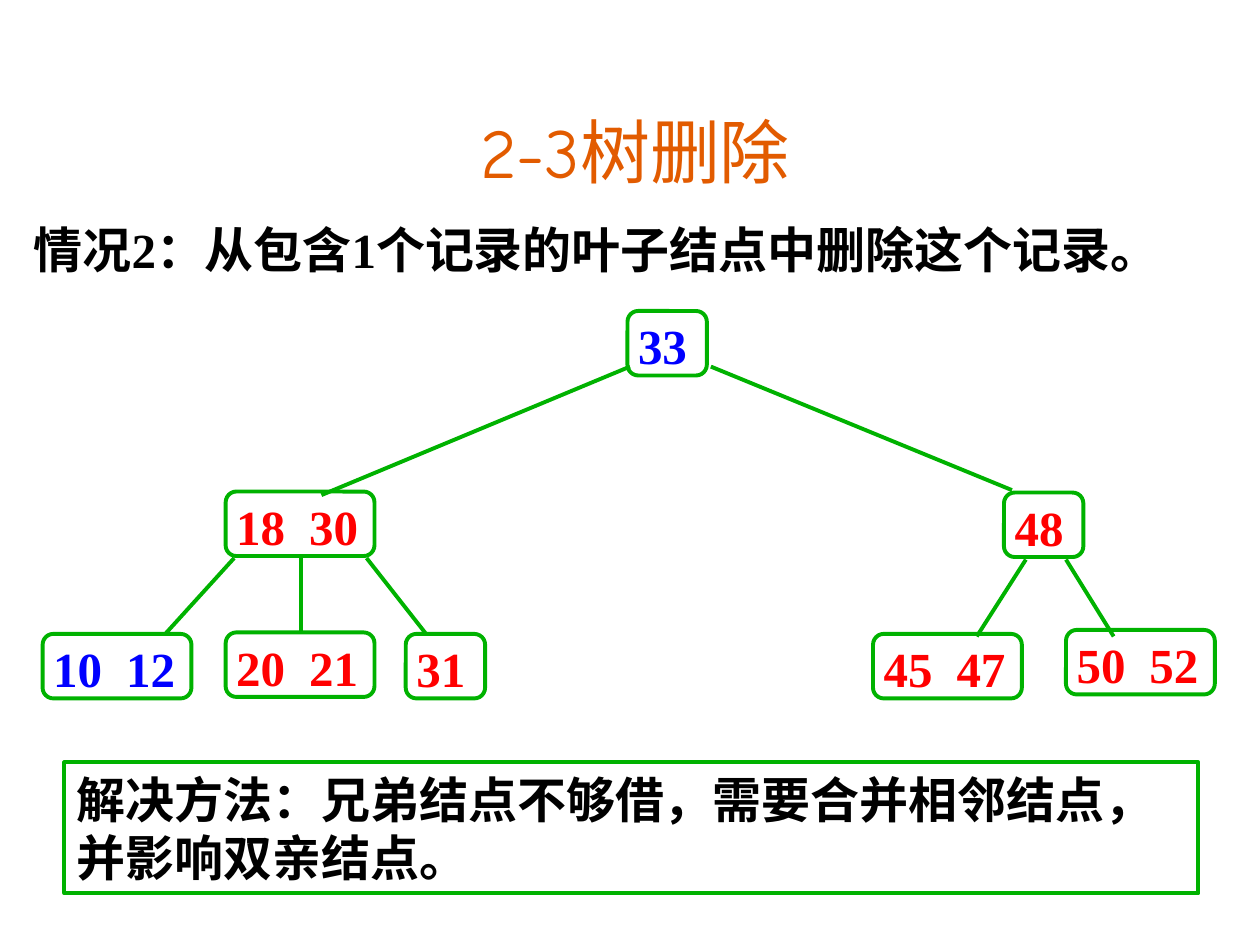
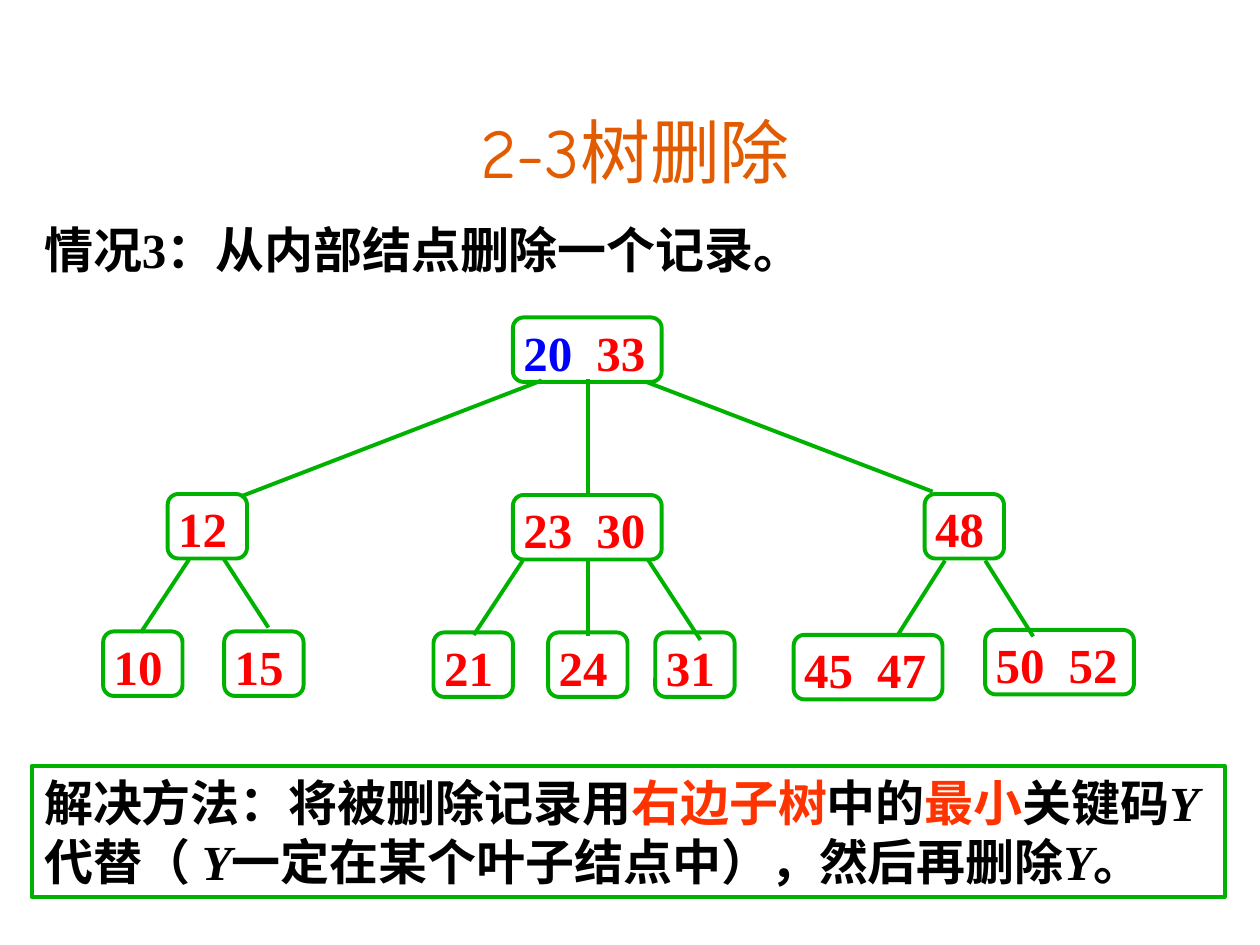
from dataclasses import dataclass

from lxml.etree import SubElement
from pptx import Presentation
from pptx.dml.color import RGBColor
from pptx.enum.shapes import MSO_CONNECTOR, MSO_SHAPE
from pptx.enum.text import MSO_ANCHOR, MSO_AUTO_SIZE, PP_ALIGN
from pptx.oxml.ns import qn
from pptx.util import Cm, Pt


@dataclass(frozen=True)
class Theme:
    title: str = "E25B00"
    text: str = "000000"
    key: str = "FF0000"
    marked: str = "0000FF"
    accent: str = "FF3300"
    line: str = "00B200"
    title_font: str = "Comic Neue"
    font: str = "Times New Roman"
    title_size: float = 40
    size: float = 28
    line_width: float = 2.25


NODE_WIDTHS = {1: 1.6, 2: 3.0}  # by number of keys
NODE_HEIGHT = 1.3
KEY_STEP = 1.47


def add_run(p, text, *, font, size, color, bold=False, italic=False):
    r = p.add_run()
    r.text = text
    r.font.name = font
    r.font.size = Pt(size)
    r.font.color.rgb = RGBColor.from_string(color)
    r.font.bold = bold
    r.font.italic = italic


class Deck:
    def __init__(self, theme):
        self.theme = theme
        self.prs = Presentation()
        self.prs.slide_width, self.prs.slide_height = Cm(25.4), Cm(19.05)
        self.s = None

    def slide(self, title):
        self.s = self.prs.slides.add_slide(self.prs.slide_layouts[5])
        sp = self.s.shapes.title
        sp.left, sp.top, sp.width, sp.height = Cm(1.9), Cm(1.9), Cm(21.8), Cm(2.1)
        tf = sp.text_frame
        tf.auto_size = MSO_AUTO_SIZE.NONE
        tf.vertical_anchor = MSO_ANCHOR.BOTTOM
        p = tf.paragraphs[0]
        p.alignment = PP_ALIGN.CENTER
        add_run(p, title, font=self.theme.title_font,
                size=self.theme.title_size, color=self.theme.title)

    def body_run(self, p, text, color=None, italic=False):
        add_run(p, text, font=self.theme.font, size=self.theme.size,
                color=color or self.theme.text, bold=True, italic=italic)

    def style_line(self, line):
        line.color.rgb = RGBColor.from_string(self.theme.line)
        line.width = Pt(self.theme.line_width)

    def outline(self, kind, left, top, width, height):
        sp = self.s.shapes.add_shape(kind, Cm(left), Cm(top), Cm(width), Cm(height))
        sp.shadow.inherit = False
        sp.fill.background()
        self.style_line(sp.line)
        sp.text_frame.word_wrap = True
        return sp

    def caption(self, text, left, width):
        sp = self.s.shapes.add_textbox(Cm(left), Cm(4.29), Cm(width), Cm(1.45))
        tf = sp.text_frame
        tf.word_wrap = False
        tf.auto_size = MSO_AUTO_SIZE.SHAPE_TO_FIT_TEXT
        tf.vertical_anchor = MSO_ANCHOR.MIDDLE
        self.body_run(tf.paragraphs[0], text)

    def solution(self, parts, left, top, width):
        """Each part is a text and its run format."""
        tf = self.outline(MSO_SHAPE.RECTANGLE, left, top, width, 2.64).text_frame
        tf.auto_size = MSO_AUTO_SIZE.SHAPE_TO_FIT_TEXT
        tf.vertical_anchor = MSO_ANCHOR.MIDDLE
        p = tf.paragraphs[0]
        p.alignment = PP_ALIGN.LEFT
        for text, style in parts:
            self.body_run(p, text, **style)

    def edge(self, x1, y1, x2, y2):
        c = self.s.shapes.add_connector(
            MSO_CONNECTOR.STRAIGHT, Cm(x1), Cm(y1), Cm(x2), Cm(y2))
        self.style_line(c.line)
        SubElement(c._element.spPr, qn("a:effectLst"))

    def node(self, keys, left, top, marked):
        keys = keys.split()
        sp = self.outline(MSO_SHAPE.ROUNDED_RECTANGLE, left, top,
                          NODE_WIDTHS[len(keys)], NODE_HEIGHT)
        tf = sp.text_frame
        tf.margin_left, tf.margin_right = Cm(0.15), Cm(0.05)
        tf.margin_top = tf.margin_bottom = Cm(0.03)
        tf.vertical_anchor = MSO_ANCHOR.TOP
        p = tf.paragraphs[0]
        p.alignment = PP_ALIGN.JUSTIFY
        if len(keys) > 1:
            tabs = SubElement(p._p.get_or_add_pPr(), qn("a:tabLst"))
            SubElement(tabs, qn("a:tab"), pos=str(Cm(KEY_STEP)), algn="l")
        for i, key in enumerate(keys):
            color = self.theme.marked if key in marked else self.theme.key
            self.body_run(p, "\t" + key if i else key, color)

    def tree(self, nodes, edges, marked):
        for ends in edges:
            self.edge(*ends)
        for keys, left, top in nodes:
            self.node(keys, left, top, marked)


def main():
    theme = Theme()
    deck = Deck(theme)
    title = "2-3树删除"

    # Case 2: merging leaves
    deck.slide(title)
    deck.caption("情况2：从包含1个记录的叶子结点中删除这个记录。", 0.43, 24.36)
    deck.tree(
        nodes=[
            ("33", 12.65, 6.27),
            ("18 30", 4.55, 9.91), ("48", 20.24, 9.93),
            ("10 12", 0.86, 12.78), ("20 21", 4.55, 12.75), ("31", 8.18, 12.78),
            ("45 47", 17.6, 12.78), ("50 52", 21.49, 12.7),
        ],
        edges=[
            (12.7, 7.39, 6.48, 9.98), (14.33, 7.39, 20.4, 9.88),
            (4.72, 11.25, 3.33, 12.78), (6.07, 11.23, 6.07, 12.73),
            (7.39, 11.25, 8.59, 12.78),
            (20.68, 11.28, 19.69, 12.83), (21.49, 11.28, 22.45, 12.83),
        ],
        marked={"33", "10", "12"},
    )
    deck.solution([("解决方法：兄弟结点不够借，需要合并相邻结点，并影响双亲结点。", {})],
                  1.3, 15.37, 22.86)

    # Case 3: deleting from an inner node
    deck.slide(title)
    deck.caption("情况3：从内部结点删除一个记录。", 0.64, 16.48)
    deck.tree(
        nodes=[
            ("20 33", 10.34, 6.4),
            ("12", 3.38, 9.96), ("23 30", 10.34, 9.98), ("48", 18.64, 9.96),
            ("10", 2.08, 12.73), ("15", 4.52, 12.73),
            ("21", 8.74, 12.75), ("24", 11.05, 12.75), ("31", 13.21, 12.75),
            ("45 47", 16, 12.8), ("50 52", 19.86, 12.7),
        ],
        edges=[
            (10.92, 7.67, 4.85, 10.01), (11.86, 7.65, 11.86, 9.96),
            (13.03, 7.7, 18.8, 9.91),
            (3.81, 11.28, 2.84, 12.75), (4.5, 11.25, 5.41, 12.65),
            (10.54, 11.3, 9.55, 12.8), (11.86, 11.3, 11.86, 12.83),
            (13.06, 11.28, 14.12, 12.9),
            (19.05, 11.3, 18.08, 12.83), (19.86, 11.3, 20.83, 12.83),
        ],
        marked={"20"},
    )
    accent = {"color": theme.accent}
    variable = ("Y", {"italic": True})
    deck.solution([
        ("解决方法：将被删除记录用", {}), ("右边子树", accent), ("中的", {}),
        ("最小", accent), ("关键码", {}), variable, ("代替（ ", {}), variable,
        ("一定在某个叶子结点中），然后再删除", {}), variable, ("。", {}),
    ], 0.64, 15.44, 24.05)

    deck.prs.save("out.pptx")


if __name__ == "__main__":
    main()
